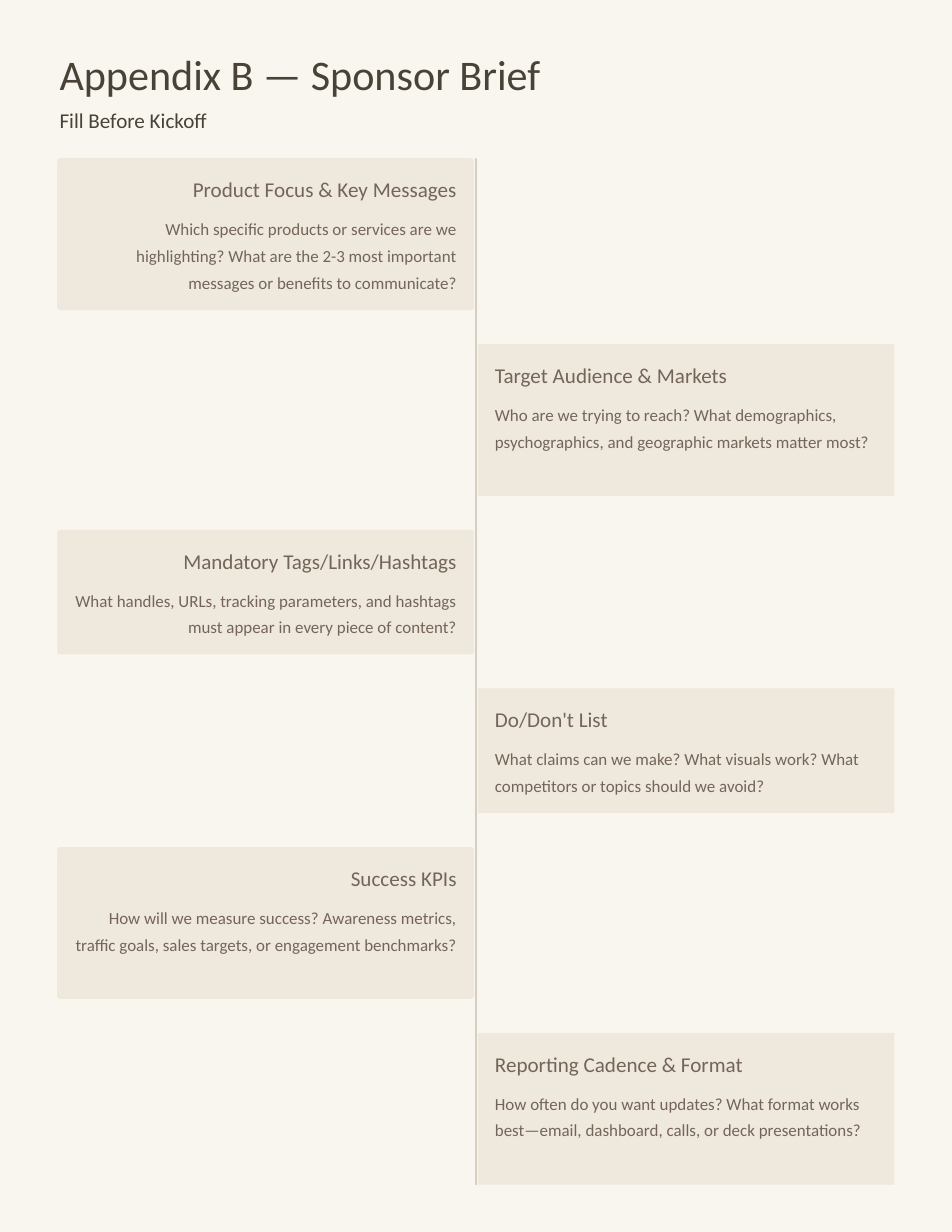
"""Build the sponsor brief page with cards on both sides of a centre line."""
from pptx import Presentation
from pptx.dml.color import RGBColor
from pptx.enum.shapes import MSO_SHAPE as Kind
from pptx.enum.text import MSO_ANCHOR as Anchor, MSO_AUTO_SIZE as Auto, PP_ALIGN as Align
from pptx.util import Pt

STYLES = {
    "title": {"size": Pt(51), "color": "484237", "lead": Pt(64)},
    "sub": {"size": Pt(25.5), "color": "484237", "lead": Pt(32)},
    "head": {"size": Pt(25.5), "color": "746558", "lead": Pt(32)},
    "body": {"size": Pt(20.5), "color": "746558", "lead": Pt(32.5)},
}


def paint(fill, color):
    fill.solid()
    fill.fore_color.rgb = RGBColor.from_string(color)


def write(box, text, style, align=Align.LEFT, wrap=False):
    look = STYLES[style]
    frame = box.text_frame
    frame.text = text
    para = frame.paragraphs[0]
    edges = dict.fromkeys(("margin_left", "margin_top", "margin_right", "margin_bottom"), 0)
    formats = (
        (frame, {**edges, "word_wrap": wrap, "auto_size": Auto.NONE, "vertical_anchor": Anchor.TOP}),
        (para, {"alignment": align, "line_spacing": look["lead"]}),
        (para.runs[0].font, {"name": "Calibri", "size": look["size"]}),
    )
    for item, values in formats:
        for name, value in values.items():
            setattr(item, name, value)
    paint(para.runs[0].font.fill, look["color"])


deck = Presentation()
deck.slide_width, deck.slide_height = Pt(1152), Pt(1491)
slide = deck.slides.add_slide(deck.slide_layouts[5])
paint(slide.background.fill, "F9F6F0")
shapes = slide.shapes

title = shapes.title
title.left, title.top, title.width, title.height = Pt(72), Pt(56), Pt(714), Pt(64)
write(title, "Appendix B — Sponsor Brief", "title")
write(shapes.add_textbox(Pt(72), Pt(129), Pt(256), Pt(32)), "Fill Before Kickoff", "sub")

spine = shapes.add_shape(Kind.ROUNDED_RECTANGLE, Pt(574.8), Pt(191.5), Pt(2.3), Pt(1242.5))
spine.adjustments[0] = 0.5
spine.shadow.inherit = False
spine.line.fill.background()
paint(spine.fill, "D4CEC3")

cards = [
    ("Product Focus & Key Messages", 388, 183.7,
     "Which specific products or services are we highlighting? "
     "What are the 2-3 most important messages or benefits to communicate?"),
    ("Target Audience & Markets", 343.5, 183.7,
     "Who are we trying to reach? What demographics, psychographics, "
     "and geographic markets matter most?"),
    ("Mandatory Tags/Links/Hashtags", 416, 150.7,
     "What handles, URLs, tracking parameters, and hashtags "
     "must appear in every piece of content?"),
    ("Do/Don't List", 256, 150.7,
     "What claims can we make? What visuals work? "
     "What competitors or topics should we avoid?"),
    ("Success KPIs", 256, 183.7,
     "How will we measure success? Awareness metrics, traffic goals, "
     "sales targets, or engagement benchmarks?"),
    ("Reporting Cadence & Format", 367, 183.7,
     "How often do you want updates? What format works "
     "best—email, dashboard, calls, or deck presentations?"),
]
wide, pad, gap, top = 504, 20.6, 41.2, 191.5
inner = wide - 2 * pad
for rank, (head, span, high, body) in enumerate(cards):
    on_left = rank % 2 == 0
    left = 69.3 if on_left else 578.3
    align = Align.RIGHT if on_left else Align.LEFT
    kind = Kind.ROUNDED_RECTANGLE if on_left else Kind.RECTANGLE
    card = shapes.add_shape(kind, Pt(left), Pt(top), Pt(wide), Pt(high))
    if on_left:
        card.adjustments[0] = 0.02
    card.shadow.inherit = False
    card.line.fill.background()
    paint(card.fill, "EEE8DD")
    start = left + pad + (inner - span if on_left else 0)
    write(shapes.add_textbox(Pt(start), Pt(top + pad), Pt(span), Pt(32)), head, "head", align)
    note = shapes.add_textbox(Pt(left + pad), Pt(top + 65), Pt(inner), Pt(high - 85))
    write(note, body, "body", align, True)
    top += high + gap

deck.save("out.pptx")
